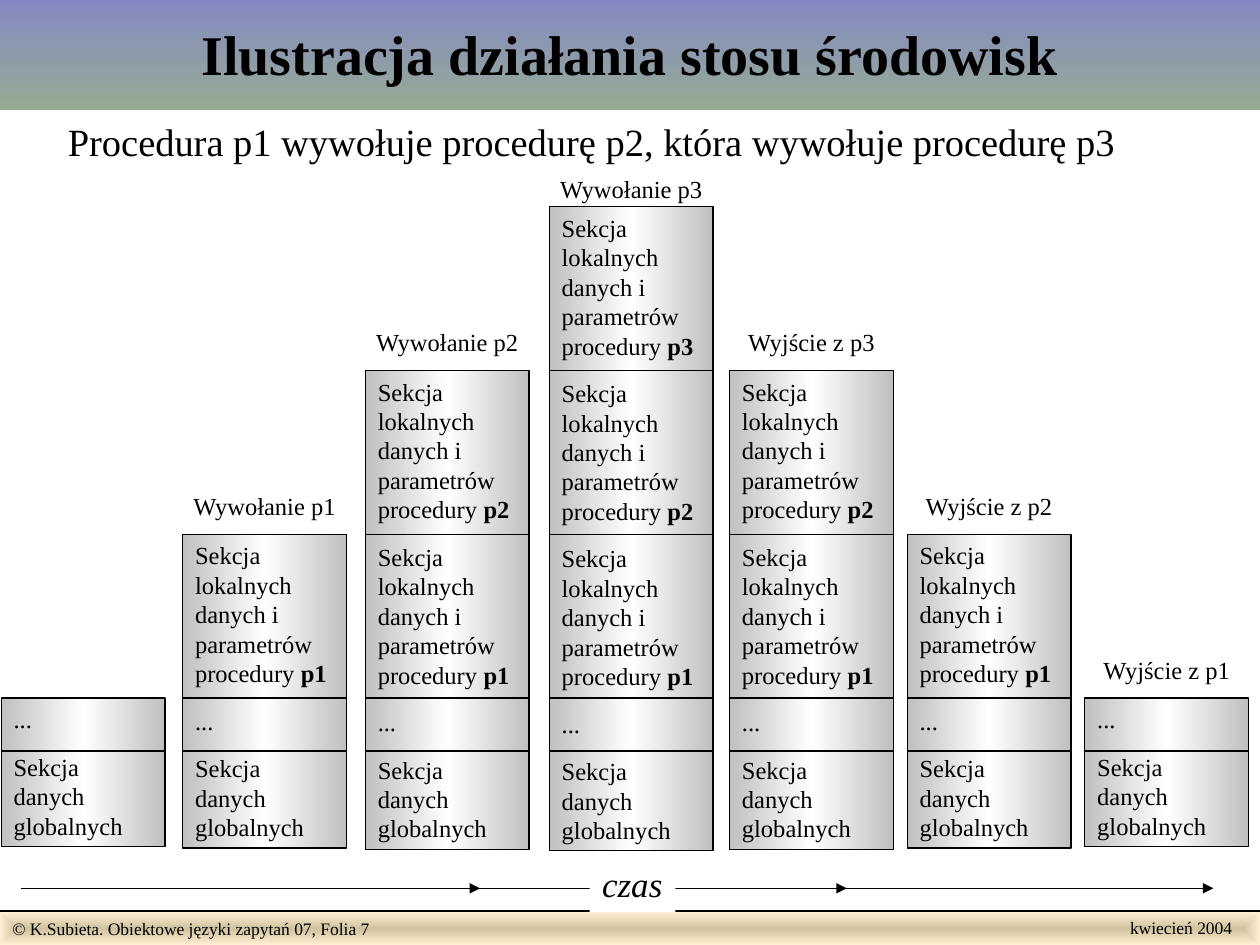
from dataclasses import dataclass

from lxml import etree
from pptx import Presentation
from pptx.dml.color import RGBColor
from pptx.enum.shapes import MSO_CONNECTOR as CONN, MSO_SHAPE as SHAPE
from pptx.enum.text import MSO_ANCHOR as ANCHOR, MSO_AUTO_SIZE as AUTO, PP_ALIGN as ALIGN
from pptx.oxml import parse_xml
from pptx.oxml.ns import nsdecls, qn
from pptx.util import Inches, Pt

FONT = "Times New Roman"
COLORS = {
    "text": "000000", "white": "FFFFFF", "silver": "C0C0C0",
    "title_top": "8488C4", "title_bottom": "96AB94",
    "footer_mid": "D1C39F", "footer_edge": "FFEFD1",
}
# Stack geometry in inches
BASE_TOP, BASE_H, STACK_W = 5.54, 1.18, 1.3
SECTION_STEP, SECTION_H = 1.3, 1.31
GLOBAL_TOP = 5.96


@dataclass
class Stack:
    left: float
    depth: int            # number of procedure sections
    label: str = ""
    label_gap: float = 0.39


STACKS = [
    Stack(0.01, 0),
    Stack(1.45, 1, "Wywołanie p1"),
    Stack(2.9, 2, "Wywołanie p2"),
    Stack(4.36, 3, "Wywołanie p3", 0.31),
    Stack(5.79, 2, "Wyjście z p3"),
    Stack(7.2, 1, "Wyjście z p2"),
    Stack(8.61, 0, "Wyjście z p1"),
]


def color(name: str) -> RGBColor:
    return RGBColor.from_string(COLORS[name])


def add_run(p, text: str, size: float, bold: bool = False, italic: bool = False) -> None:
    r = p.add_run()
    r.text = text
    r.font.name, r.font.size = FONT, Pt(size)
    r.font.bold, r.font.italic = bold, italic
    r.font.color.rgb = color("text")


def fill_gradient(sp, names: list[str], direction: str) -> None:
    """Spread the named colours evenly; direction is the a:lin or a:path XML."""
    stops = "".join(
        f'<a:gs pos="{100000 * i // (len(names) - 1)}"><a:srgbClr val="{COLORS[n]}"/></a:gs>'
        for i, n in enumerate(names))
    sp.fill.solid()
    solid = sp.element.spPr.find(qn("a:solidFill"))
    solid.getparent().replace(solid, parse_xml(
        f'<a:gradFill {nsdecls("a")} rotWithShape="1"><a:gsLst>{stops}</a:gsLst>{direction}</a:gradFill>'))


def linear(degrees: int) -> str:
    return f'<a:lin ang="{degrees * 60000}" scaled="0"/>'


def add_rect(s, x: float, y: float, w: float, h: float):
    sp = s.shapes.add_shape(SHAPE.RECTANGLE, Inches(x), Inches(y), Inches(w), Inches(h))
    sp.shadow.inherit = False
    sp.line.fill.background()
    tf = sp.text_frame
    tf.word_wrap, tf.vertical_anchor = True, ANCHOR.TOP
    tf.paragraphs[0].alignment = ALIGN.LEFT
    return sp


def add_text(s, x: float, y: float, w: float, h: float, text: str, size: float,
             align=ALIGN.LEFT, wrap: bool = False) -> None:
    tf = s.shapes.add_textbox(Inches(x), Inches(y), Inches(w), Inches(h)).text_frame
    tf.word_wrap = wrap
    tf.auto_size = AUTO.SHAPE_TO_FIT_TEXT
    tf.paragraphs[0].alignment = align
    add_run(tf.paragraphs[0], text, size)


def add_line(s, x1: float, x2: float, y: float, width: float = 0.75, arrow: bool = False) -> None:
    ln = s.shapes.add_connector(CONN.STRAIGHT, Inches(x1), Inches(y), Inches(x2), Inches(y))
    ln.line.color.rgb, ln.line.width = color("text"), Pt(width)
    if arrow:
        etree.SubElement(ln.line._get_or_add_ln(), qn("a:tailEnd"), type="triangle")
    etree.SubElement(ln._element.spPr, qn("a:effectLst"))


def add_stack(s, stack: Stack) -> None:
    top = BASE_TOP - SECTION_STEP * stack.depth
    sp = add_rect(s, stack.left, top, STACK_W, BASE_H + SECTION_H * stack.depth)
    fill_gradient(sp, ["silver", "white", "silver"], linear(180))
    sp.line.color.rgb, sp.line.width = color("text"), Pt(0.75)

    sections = [("Sekcja lokalnych danych i parametrów procedury ", f"p{n}")
                for n in range(stack.depth, 0, -1)]
    sections += [("...", ""), ("Sekcja danych globalnych", "")]
    tf = sp.text_frame
    for i, (text, procedure) in enumerate(sections):
        p = tf.add_paragraph() if i else tf.paragraphs[0]
        p.alignment = ALIGN.LEFT
        p.space_before, p.space_after = Pt(5.2 if i else 0), Pt(5.2)
        add_run(p, text, 14)
        if procedure:
            add_run(p, procedure, 14, bold=True)

    # Dividers between sections
    dividers = [GLOBAL_TOP] + [BASE_TOP - SECTION_STEP * k for k in range(stack.depth)]
    for y in dividers:
        add_line(s, stack.left, stack.left + STACK_W, y)
    if stack.label:
        add_text(s, stack.left - 0.02, top - stack.label_gap, 1.34, 0.34,
                 stack.label, 14, ALIGN.CENTER)


def main() -> None:
    prs = Presentation()
    prs.slide_width, prs.slide_height = Inches(10), Inches(7.5)
    s = prs.slides.add_slide(prs.slide_layouts[5])

    # Title band
    title = s.shapes.title
    title.left, title.top, title.width, title.height = map(Inches, (0, -0.03, 10, 0.9))
    fill_gradient(title, ["title_top", "title_bottom"], linear(90))
    tf = title.text_frame
    tf.auto_size, tf.vertical_anchor = AUTO.NONE, ANCHOR.MIDDLE
    tf.paragraphs[0].alignment = ALIGN.CENTER
    add_run(tf.paragraphs[0], "Ilustracja działania stosu środowisk", 32, bold=True)

    # Footer
    footer = add_rect(s, 0, 7.24, 10, 0.26)
    fill_gradient(footer, ["footer_mid", "footer_edge"],
                  '<a:path path="rect"><a:fillToRect l="50000" t="50000" r="50000" b="50000"/></a:path>')
    add_run(footer.text_frame.paragraphs[0],
            "© K.Subieta. Obiektowe języki zapytań 07, Folia 7", 10)
    add_line(s, 0, 10, 7.23, width=1)
    add_text(s, 8.87, 7.23, 1.01, 0.27, "kwiecień 2004", 10)

    add_text(s, 0.44, 0.89, 8.65, 0.47,
             "Procedura p1 wywołuje procedurę p2, która wywołuje procedurę p3", 22, wrap=True)

    # Time axis
    for x in (0.17, 3.08, 5.99):
        add_line(s, x, x + 3.64, 7.05, arrow=True)
    time = add_rect(s, 4.68, 6.8, 0.68, 0.44)
    time.fill.solid()
    time.fill.fore_color.rgb = color("white")
    time.text_frame.word_wrap = False
    add_run(time.text_frame.paragraphs[0], "czas", 20, italic=True)

    # Environment stacks over time
    for stack in STACKS:
        add_stack(s, stack)

    prs.save("out.pptx")


if __name__ == "__main__":
    main()
